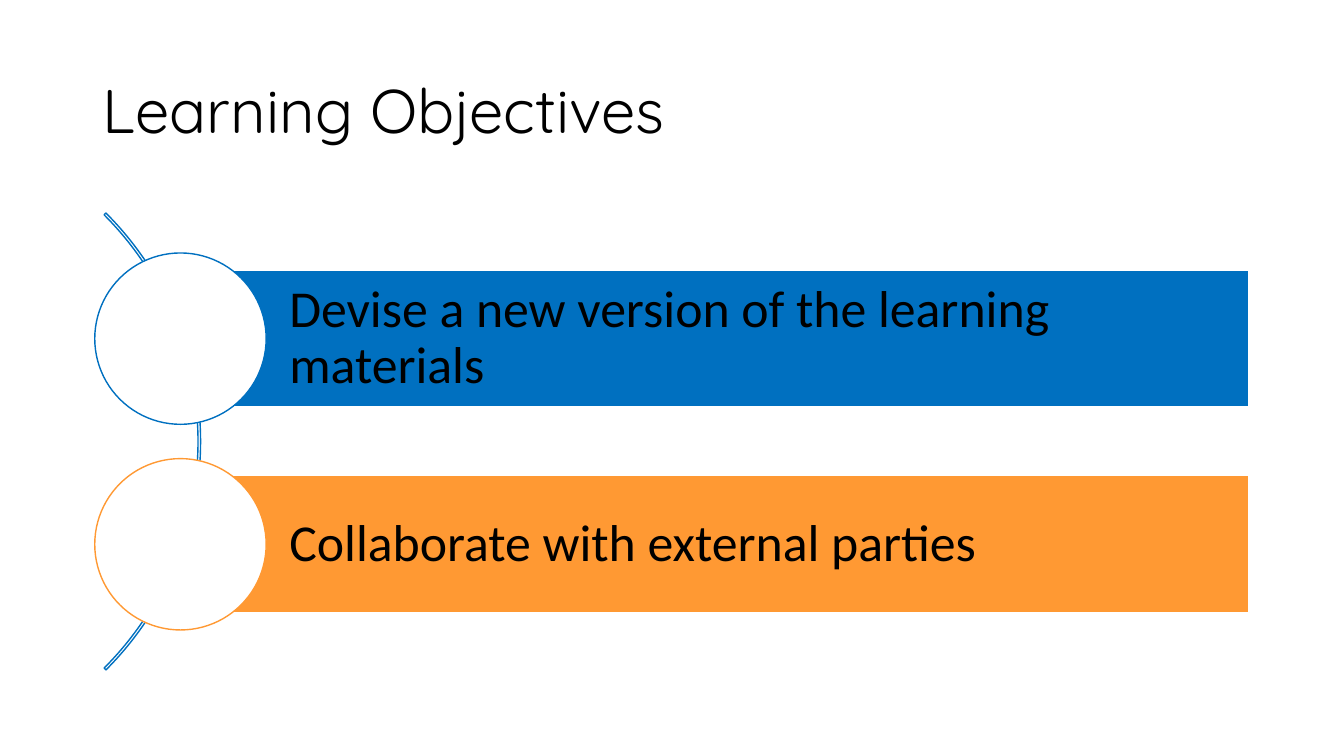
from pptx import Presentation
from pptx.dml.color import RGBColor
from pptx.enum.shapes import MSO_SHAPE
from pptx.enum.text import MSO_ANCHOR, PP_ALIGN
from pptx.util import Inches, Pt

# Content
TITLE = "Learning Objectives"
GOALS = [
    ("Devise a new version of the learning materials", "0070C0"),
    ("Collaborate with external parties", "FF9933"),
]

# Layout in inches
MID = 4.38
STEP = 2.04
BAR_X, BAR_W, BAR_H = 1.79, 10.6, 1.36
DOT = 1.7
ARC_X, ARC = -4.42, 6.41


def color(code):
    return RGBColor.from_string(code)


def add_part(kind, left, top, width, height, line, fill=None):
    part = slide.shapes.add_shape(
        kind, Inches(left), Inches(top), Inches(width), Inches(height))
    part.shadow.inherit = False
    if fill:
        part.fill.solid()
        part.fill.fore_color.rgb = color(fill)
    else:
        part.fill.background()
    part.line.color.rgb = color(line)
    part.line.width = Pt(1)
    return part


def write(box, text, font, size, left=0.1, edge=0.1):
    frame = box.text_frame
    frame.word_wrap = True
    frame.vertical_anchor = MSO_ANCHOR.MIDDLE
    frame.margin_left = Inches(left)
    frame.margin_right = Inches(0.1)
    frame.margin_top = frame.margin_bottom = Inches(edge)
    para = frame.paragraphs[0]
    para.alignment = PP_ALIGN.LEFT
    para.line_spacing = 0.9
    run = para.add_run()
    run.text = text
    run.font.name = font
    run.font.size = Pt(size)
    run.font.color.rgb = color("000000")


deck = Presentation()
deck.slide_width, deck.slide_height = Inches(13.33), Inches(7.5)
slide = deck.slides.add_slide(deck.slide_layouts[6])

# Title
head = slide.shapes.add_textbox(
    Inches(0.92), Inches(0.4), Inches(11.5), Inches(1.45))
write(head, TITLE, "Quicksand", 44, edge=0.05)

# Arc behind the goals, from 315 to 45 degrees
arc = add_part(MSO_SHAPE.BLOCK_ARC, ARC_X, MID - ARC / 2, ARC, ARC, "0070C0")
for i, value in enumerate((189, 27, 0.004)):
    arc.adjustments[i] = value

# Goals: a bar with a circle centred on its left end
for i, (text, hue) in enumerate(GOALS):
    y = MID + (i - (len(GOALS) - 1) / 2) * STEP
    bar = add_part(MSO_SHAPE.RECTANGLE, BAR_X, y - BAR_H / 2,
                   BAR_W, BAR_H, "FFFFFF", hue)
    write(bar, text, "Calibri", 37, left=1.08)
    add_part(MSO_SHAPE.OVAL, BAR_X - DOT / 2, y - DOT / 2,
             DOT, DOT, hue, "FFFFFF")

deck.save("out.pptx")
